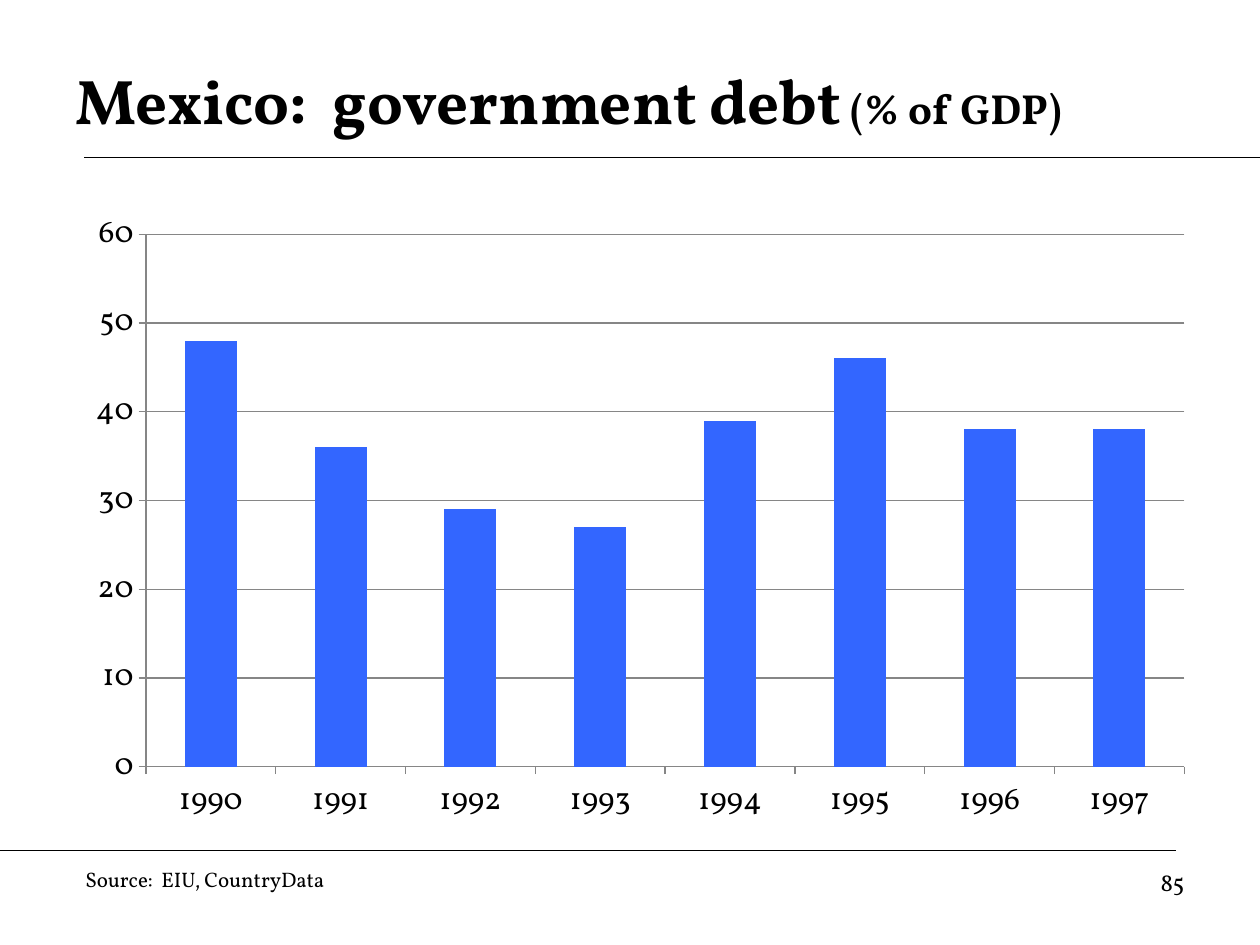
from lxml import etree
from pptx import Presentation
from pptx.chart.data import CategoryChartData
from pptx.dml.color import RGBColor
from pptx.enum.chart import XL_CHART_TYPE as Kind, XL_TICK_MARK as Tick
from pptx.enum.shapes import MSO_CONNECTOR as Link
from pptx.enum.text import MSO_ANCHOR as Anchor, PP_ALIGN as Align
from pptx.oxml.ns import qn
from pptx.util import Inches, Pt

FACE = "Vollkorn"
BLACK, GRAY, BLUE = "000000", "868686", "3366FF"


def paint(color, tone):
    color.rgb = RGBColor.from_string(tone)


def add_text(left, top, width, height, runs, align=Align.LEFT, anchor=Anchor.TOP):
    """Add a text box from runs of (text, size, bold)."""
    frame = slide.shapes.add_textbox(
        Inches(left), Inches(top), Inches(width), Inches(height)).text_frame
    frame.word_wrap = True
    frame.vertical_anchor = anchor
    para = frame.paragraphs[0]
    para.alignment = align
    for text, size, bold in runs:
        run = para.add_run()
        run.text = text
        run.font.name = FACE
        run.font.size = Pt(size)
        run.font.bold = bold
        paint(run.font.color, BLACK)


deck = Presentation()
deck.slide_width, deck.slide_height = Inches(10), Inches(7.5)
slide = deck.slides.add_slide(deck.slide_layouts[6])

# Rules above and below the chart
for start, end, y in [(0.67, 10, 1.25), (0, 9.33, 6.75)]:
    rule = slide.shapes.add_connector(
        Link.STRAIGHT, Inches(start), Inches(y), Inches(end), Inches(y))
    paint(rule.line.color, BLACK)
    rule.line.width = Pt(0.75)
    etree.SubElement(rule._element.spPr, qn("a:effectLst"))

# Title and footer
add_text(0.5, 0.33, 9, 0.92,
         [("Mexico:  government debt", 36, True), (" (% of GDP)", 24, True)],
         anchor=Anchor.MIDDLE)
add_text(7.17, 6.83, 2.33, 0.52, [("85", 14, False)], align=Align.RIGHT)
add_text(0.58, 6.83, 4.83, 0.3, [("Source:  EIU, CountryData", 12, False)])

# Debt chart
data = CategoryChartData()
data.categories = [str(year) for year in range(1990, 1998)]
data.add_series("Series 1", [48, 36, 29, 27, 39, 46, 38, 38])
chart = slide.shapes.add_chart(
    Kind.COLUMN_CLUSTERED, Inches(0.58), Inches(1.58), Inches(9), Inches(5.06),
    data).chart
chart.has_legend = False
chart.has_title = False
chart.font.name = FACE
chart.font.size = Pt(18)
paint(chart.font.color, BLACK)

plot = chart.plots[0]
plot.gap_width = 150
plot.vary_by_categories = False
fill = plot.series[0].format.fill
fill.solid()
paint(fill.fore_color, BLUE)

scale = chart.value_axis
scale.minimum_scale, scale.maximum_scale, scale.major_unit = 0, 60, 10
scale.has_major_gridlines = True
for axis in (chart.category_axis, scale):
    axis.major_tick_mark = Tick.OUTSIDE
    axis.minor_tick_mark = Tick.NONE
for part in (chart.category_axis, scale, scale.major_gridlines):
    paint(part.format.line.color, GRAY)
    part.format.line.width = Pt(0.75)

deck.save("out.pptx")
